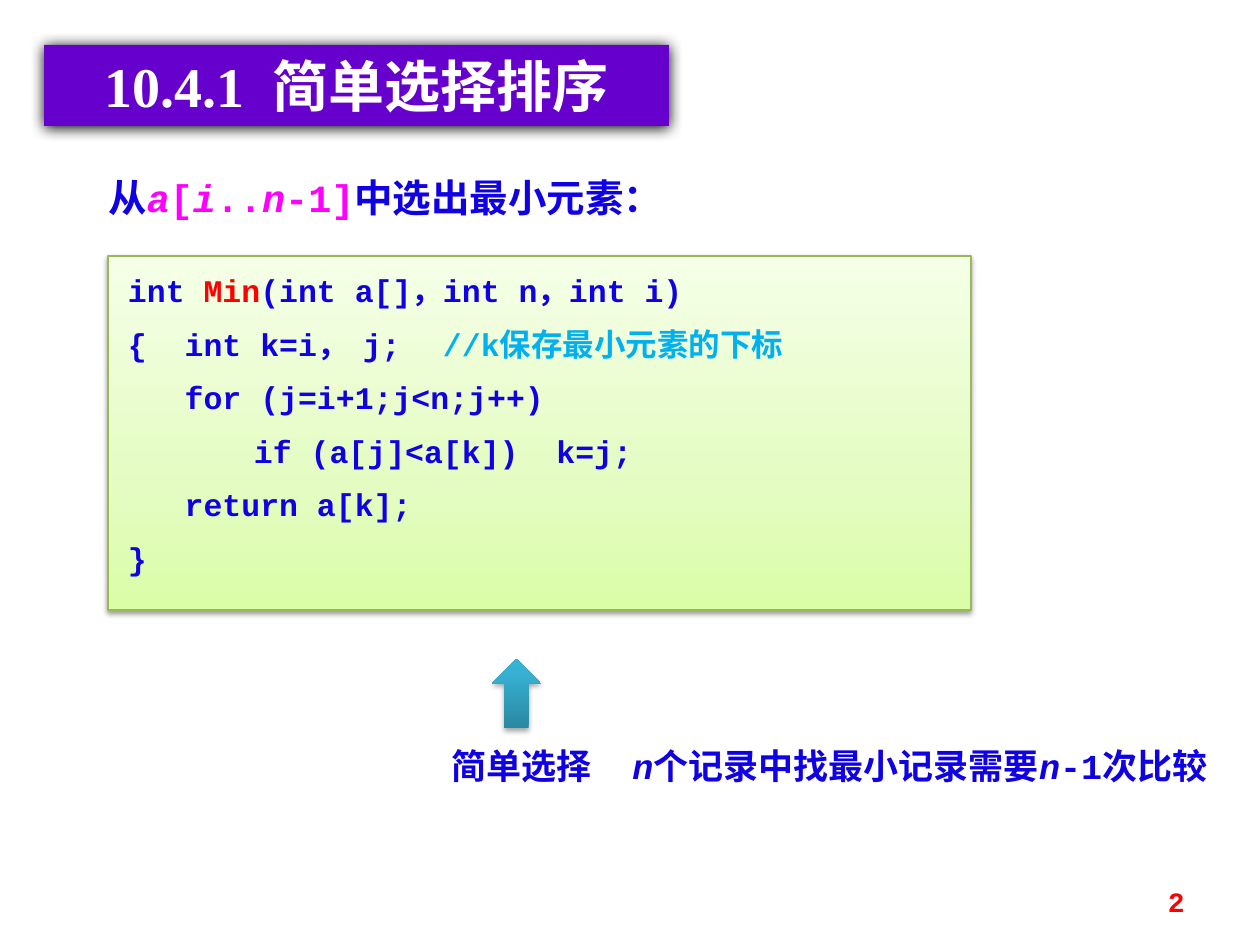
from lxml import etree
from pptx import Presentation, util as u
from pptx.dml.color import RGBColor
from pptx.enum import shapes, text
from pptx.oxml import parse_xml
from pptx.oxml.ns import qn

PX = 914400 / 126
NS = 'xmlns:a="http://schemas.openxmlformats.org/drawingml/2006/main"'

WHITE = RGBColor(0xFF, 0xFF, 0xFF)
PURPLE = RGBColor(0x66, 0x00, 0xCC)
BLUE = RGBColor(0x10, 0x00, 0xE4)
MAGENTA = RGBColor(0xFF, 0x00, 0xFF)
RED = RGBColor(0xFF, 0x00, 0x00)
SKY = RGBColor(0x00, 0xB0, 0xF0)
GREEN = RGBColor(0x98, 0xB9, 0x55)

CODE_FONT, TITLE_FONT, CJK_FONT = "Courier New", "Times New Roman", "Noto Sans CJK SC"
LEFT, CENTER, RIGHT = text.PP_ALIGN.LEFT, text.PP_ALIGN.CENTER, text.PP_ALIGN.RIGHT


def px(n):
    return u.Emu(round(n * PX))


def write(tf, lines, size, font=CODE_FONT, align=LEFT, bold=True, spaced=False):
    """Fill a frame; a line is a list of (text, colour[, italic]) runs."""
    tf.word_wrap = True
    for i, line in enumerate(lines):
        p = tf.paragraphs[0] if i == 0 else tf.add_paragraph()
        p.alignment = align
        if spaced:
            before = etree.SubElement(p._p.get_or_add_pPr(), qn("a:spcBef"))
            etree.SubElement(before, qn("a:spcPct"), val="50000")
        for words, color, *italic in line:
            r = p.add_run()
            r.text = words
            r.font.size, r.font.name, r.font.bold = u.Pt(size), font, bold
            r.font.color.rgb = color
            r.font.italic = bool(italic)
            etree.SubElement(r._r.get_or_add_rPr(), qn("a:ea"), typeface=CJK_FONT)


def add_text(parent, box, lines, size, **style):
    sp = parent.add_textbox(*map(px, box))
    write(sp.text_frame, lines, size, **style)
    return sp


def add_block(parent, kind, box, blur, dist, alpha):
    """Preset shape without outline, with a shadow falling straight down."""
    sp = parent.add_shape(kind, *map(px, box))
    sp.shadow.inherit = False
    sp.line.fill.background()
    sp._element.spPr.find(qn("a:effectLst")).append(parse_xml(
        f'<a:outerShdw {NS} blurRad="{u.Pt(blur)}" dist="{u.Pt(dist)}" dir="5400000"'
        f' rotWithShape="0"><a:srgbClr val="000000"><a:alpha val="{alpha}000"/>'
        '</a:srgbClr></a:outerShdw>'))
    return sp


def fill_upward(sp, stops):
    """Gradient from bottom to top; stops are (percent, colour)."""
    sp.fill.gradient()
    sp.fill.gradient_angle = 90
    gs_list = sp._element.spPr.find(qn("a:gradFill")).find(qn("a:gsLst"))
    for gs in list(gs_list):
        gs_list.remove(gs)
    for percent, color in stops:
        gs_list.append(parse_xml(
            f'<a:gs {NS} pos="{percent}000"><a:srgbClr val="{color}"/></a:gs>'))


def title_banner(s, x, y, w, h):
    sp = add_block(s.shapes, shapes.MSO_SHAPE.RECTANGLE, (x, y, w, h), 8.5, 1, 100)
    sp.fill.solid()
    sp.fill.fore_color.rgb = PURPLE
    write(sp.text_frame, [[("10.4.1  简单选择排序", WHITE)]], 32,
          font=TITLE_FONT, align=CENTER, spaced=True)
    sp.text_frame.vertical_anchor = text.MSO_ANCHOR.TOP


def task_line(s, x, y, w, h):
    add_text(s.shapes, (x, y, w, h), [[
        ("从", BLUE), ("a", MAGENTA, True), ("[", MAGENTA), ("i", MAGENTA, True),
        ("..", MAGENTA), ("n", MAGENTA, True), ("-1]", MAGENTA),
        ("中选出最小元素：", BLUE)]], 22, spaced=True)


def code_panel(s, x, y, w, h):
    sp = add_block(s.shapes, shapes.MSO_SHAPE.RECTANGLE, (x, y, w, h), 3.1, 1.6, 38)
    fill_upward(sp, [(0, "DAFDA7"), (35, "E4FCC2"), (100, "F5FFE7")])
    sp.line.color.rgb = GREEN
    sp.line.width = u.Pt(0.75)
    tf = sp.text_frame
    tf.margin_left = tf.margin_right = px(20)
    tf.margin_top = tf.margin_bottom = px(15)
    tf.vertical_anchor = text.MSO_ANCHOR.TOP
    write(tf, [
        [("int ", BLUE), ("Min", RED), ("(int a[]，int n，int i)", BLUE)],
        [("{  int k=i，  j;\t", BLUE), ("//k保存最小元素的下标", SKY)],
        [("   for (j=i+1;j<n;j++)", BLUE)],
        [("　　　　if (a[j]<a[k])  k=j;", BLUE)],
        [("   return a[k];", BLUE)],
        [("}", BLUE)],
    ], 18, spaced=True)


def method_note(s, x, y, w, h):
    # Arrow with its label, grouped
    group = s.shapes.add_group_shape().shapes
    arrow = add_block(group, shapes.MSO_SHAPE.UP_ARROW, (x + 89, y, 49, 69), 3.1, 1.8, 35)
    fill_upward(arrow, [(0, "2A88A2"), (80, "37B1D2"), (100, "34B4D6")])
    label_y, label_h = y + 79, h - 79
    add_text(group, (x, label_y, 237, label_h), [[("简单选择", BLUE)]], 20,
             font=CJK_FONT, align=CENTER)
    # Cost of the method
    add_text(s.shapes, (x + 217, label_y, w - 217, label_h), [[
        ("n", BLUE, True), ("个记录中找最小记录需要", BLUE),
        ("n", BLUE, True), ("-1次比较", BLUE)]], 20)


def page_number(s, x, y, w, h):
    sp = add_text(s.shapes, (x, y, w, h), [[("2", RED)]], 16, align=RIGHT)
    sp.text_frame.vertical_anchor = text.MSO_ANCHOR.MIDDLE


def main():
    prs = Presentation()
    prs.slide_width, prs.slide_height = px(1260), px(945)
    s = prs.slides.add_slide(prs.slide_layouts[6])
    title_banner(s, 44, 45, 625, 81)
    task_line(s, 96, 168, 624, 59)
    code_panel(s, 108, 256, 863, 354)
    method_note(s, 403, 659, 827, 134)
    page_number(s, 903, 876, 294, 50)
    prs.save("out.pptx")


if __name__ == "__main__":
    main()
